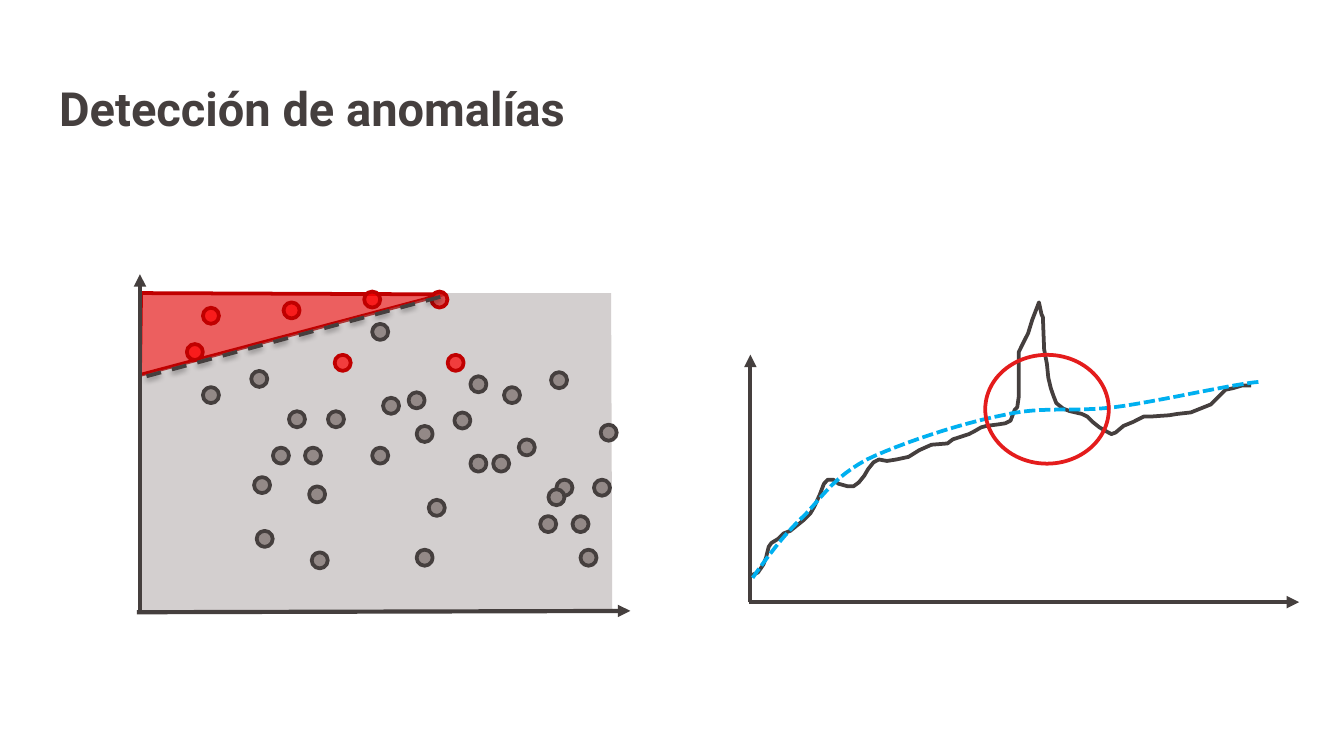
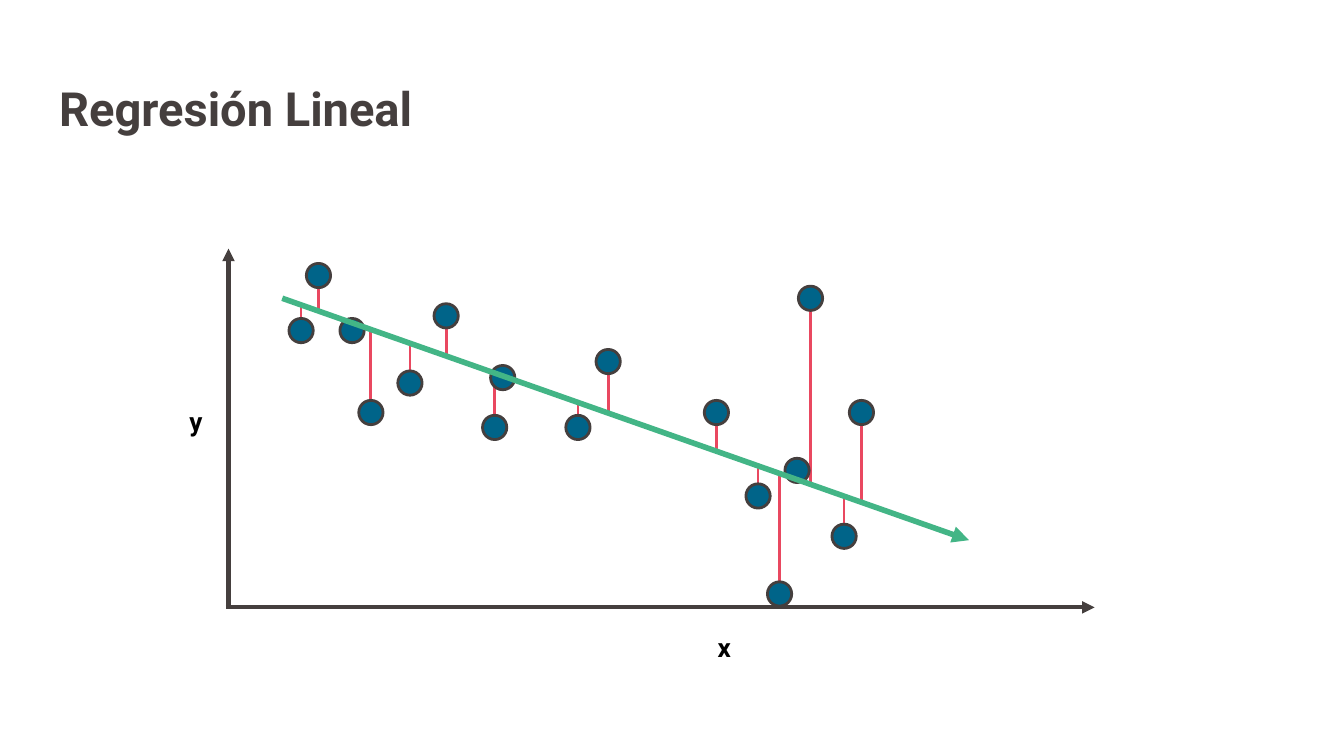
from pptx import Presentation
from pptx import util as u
from pptx.dml.color import RGBColor
from pptx.enum import dml, shapes, text
from pptx.oxml import ns, xmlchemy

Pt = u.Pt
INK = RGBColor(0x45, 0x3F, 0x3E)
GREY = RGBColor(0x93, 0x89, 0x87)
RED = RGBColor(0xE4, 0x1C, 0x1C)
BRIGHT_RED = RGBColor(0xFF, 0x00, 0x00)
DARK_RED = RGBColor(0xC0, 0x00, 0x00)
PINK = RGBColor(0xE9, 0x48, 0x60)
TEAL = RGBColor(0x00, 0x64, 0x89)
GREEN = RGBColor(0x43, 0xB5, 0x86)
CYAN = RGBColor(0x00, 0xB0, 0xF0)
BLACK = RGBColor(0x00, 0x00, 0x00)
WHITE = RGBColor(0xFF, 0xFF, 0xFF)
FONT = "Roboto"

SCATTER_BOX = (75, 157, 253, 171)
SERIES_BOX = (402, 162, 294, 160.6)
REGRESSION_BOX = (122.4, 133.2, 464, 192.2)

ANOMALIES = [(33.7, 7.9), (25.1, 27.3), (104.3, 33.1), (76.9, 5), (120.1, -0.8), (164.8, 33.1)]
EDGE_ANOMALY = (156.1, -0.8)
NORMAL_POINTS = [
    (100.7, 63.3), (79.8, 63.3), (71.2, 82.8), (59.6, 41.7), (33.7, 50.4),
    (195, 50.4), (124.4, 16.5), (124.4, 82.8), (88.4, 82.8), (130.2, 56.1),
    (177, 44.6), (168.4, 64), (243.2, 100), (223.1, 100), (214.4, 119.5),
    (246.8, 70.5), (202.9, 78.4), (177, 87.1), (220.2, 42.4), (218.8, 105.1),
    (92, 138.9), (148.2, 71.2), (143.9, 53.2), (148.2, 137.5), (236, 137.5),
    (231.7, 119.5), (154.7, 110.8), (189.2, 87.1), (90.6, 103.6), (61.1, 98.6),
    (62.5, 127.4),
]
SIGNAL = [
    (0.5, 146.2), (4.1, 144.7), (7, 140.4), (8.4, 136.8), (9.8, 131), (11.3, 128.9),
    (14.9, 126.7), (17.8, 123.8), (21.4, 122.4), (25, 119.5), (28.6, 116.6), (32.2, 113),
    (34.3, 109.4), (37.2, 103), (39.4, 97.2), (41.5, 95), (44.4, 95), (47.3, 97.2),
    (52.3, 98.6), (55.2, 98.6), (58.1, 96.5), (61, 92.9), (63.1, 89.3), (66, 85.7),
    (68.9, 84.2), (73.2, 85), (78.2, 84.2), (84.7, 82.8), (90.5, 79.2), (97, 76.3),
    (105.6, 75.6), (108.5, 73.4), (112.8, 72), (117.1, 70.6), (120, 69.1), (123.6, 67),
    (126.5, 66.2), (132.2, 65.5), (136.6, 64.8), (139.4, 63.4), (141.6, 57.6), (143, 56.2),
    (143.8, 50.4), (143.8, 26.6), (145.9, 22.3), (148.8, 16.6), (151, 9.4), (153.8, 2.2),
    (154.6, 0), (156, 6.5), (156.7, 7.9), (157.4, 25.2), (158.9, 33.1), (159.6, 40.3),
    (161, 46.1), (162.5, 50.4), (163.9, 54), (167.5, 56.9), (171.1, 58.3), (177.6, 59.8),
    (180.5, 61.2), (183.4, 64.1), (187, 67), (190.6, 69.1), (193.4, 70.6), (195.6, 69.8),
    (199.9, 66.2), (205, 64.1), (210.7, 61.2), (214.3, 61.2), (224.4, 60.5), (228.7, 59.8),
    (235.9, 59), (246.7, 54.7), (251, 50.4), (254.6, 46.8), (258.2, 46.1), (263.3, 44.6),
    (268.3, 44.6),
]
TREND = [
    (1.2, 147.6), (9.8, 135.4), (18.5, 123.8), (29.3, 113.8), (39.4, 103), (45.1, 93.6),
    (62.4, 84.2), (80.4, 75.6), (112.8, 64.8), (135.1, 60.5), (156.7, 55.4), (171.8, 59),
    (194.9, 56.2), (217.9, 53.3), (257.5, 43.9), (273.4, 42.5),
]
OBSERVATIONS = [
    (48.2, 14.4), (38.9, 43.9), (66.2, 43.9), (116.6, 36), (97.2, 72), (76.3, 87.8),
    (187.2, 95.8), (311.8, 26.6), (339.1, 87.8), (329.8, 154.1), (304.6, 118.8),
    (295.2, 185), (142.6, 95.8), (146.9, 69.1), (261.4, 87.8), (283.7, 132.5), (203.4, 60.5),
]


def sub(parent, tag, **attrs):
    el = parent.makeelement(ns.qn(tag), attrs)
    parent.append(el)
    return el


def set_fill(sp, color, opacity=100):
    sp.fill.solid()
    sp.fill.fore_color.rgb = color
    if opacity < 100:
        clr = sp._element.spPr.find(ns.qn("a:solidFill"))[0]
        sub(clr, "a:alpha", val=str(opacity * 1000))


def set_line(sp, color, width, dash=None):
    sp.line.color.rgb = color
    sp.line.width = Pt(width)
    if dash:
        sp.line.dash_style = dash


def add_line(s, box, start, end, color, width, arrow=False, dash=None, shadow=False):
    x, y = box[:2]
    ln = s.shapes.add_connector(
        shapes.MSO_CONNECTOR.STRAIGHT,
        Pt(x + start[0]), Pt(y + start[1]), Pt(x + end[0]), Pt(y + end[1]))
    set_line(ln, color, width, dash)
    if arrow:
        sub(ln.line._get_or_add_ln(), "a:tailEnd", type="triangle")
    effects = sub(ln._element.spPr, "a:effectLst")
    if shadow:
        outer = sub(effects, "a:outerShdw", blurRad=str(Pt(3.1)), dist=str(Pt(1.6)),
                    dir="5400000", algn="t", rotWithShape="0")
        sub(sub(outer, "a:srgbClr", val=str(BLACK)), "a:alpha", val="38000")


def add_ellipse(s, box, left, top, w, h, line, width, fill=None, opacity=100):
    sp = s.shapes.add_shape(shapes.MSO_SHAPE.OVAL, Pt(box[0] + left), Pt(box[1] + top), Pt(w), Pt(h))
    sp.shadow.inherit = False
    if fill is None:
        sp.fill.background()
    else:
        set_fill(sp, fill, opacity)
    set_line(sp, line, width)


def add_outline(s, box, points, close=False):
    pts = [(Pt(box[0] + x), Pt(box[1] + y)) for x, y in points]
    fb = s.shapes.build_freeform(*pts[0], scale=1.0)
    fb.add_line_segments(pts[1:], close=close)
    sp = fb.convert_to_shape()
    sp.shadow.inherit = False
    sp.fill.background()
    return sp


def add_axes(s, box, top=0, overhang=1.4):
    w, h = box[2:]
    add_line(s, box, (0, h), (0, top), INK, 2.25, arrow=True)
    add_line(s, box, (-overhang, h), (w, h), INK, 2.25, arrow=True)


def add_run(p, content, size, color):
    r = p.add_run()
    r.text = content
    r.font.name = FONT
    r.font.size = Pt(size)
    r.font.bold = True
    r.font.color.rgb = color


def add_label(s, box, left, top, content):
    tb = s.shapes.add_textbox(Pt(box[0] + left), Pt(box[1] + top), Pt(20.2), Pt(24.5))
    tf = tb.text_frame
    tf.word_wrap = True
    tf.auto_size = text.MSO_AUTO_SIZE.SHAPE_TO_FIT_TEXT
    add_run(tf.paragraphs[0], content, 14, BLACK)


def sample_bezier(points, steps=12):
    curve = [points[0]]
    for i in range(0, len(points) - 1, 3):
        a, b, c, d = points[i:i + 4]
        for k in range(1, steps + 1):
            t = k / steps
            v = 1 - t
            curve.append(tuple(
                v ** 3 * a[n] + 3 * v * v * t * b[n] + 3 * v * t * t * c[n] + t ** 3 * d[n]
                for n in (0, 1)))
    return curve


def titled_slide(prs, title):
    s = prs.slides.add_slide(prs.slide_layouts[5])
    s.background.fill.solid()
    s.background.fill.fore_color.rgb = WHITE
    sp = s.shapes.title
    sp.left, sp.top, sp.width, sp.height = Pt(24.5), Pt(35.3), Pt(671), Pt(45.4)
    tf = sp.text_frame
    tf.margin_left = tf.margin_right = tf.margin_top = tf.margin_bottom = Pt(7.2)
    tf.word_wrap = True
    tf.auto_size = text.MSO_AUTO_SIZE.NONE
    tf.vertical_anchor = text.MSO_ANCHOR.TOP
    p = tf.paragraphs[0]
    p.alignment = text.PP_ALIGN.LEFT
    add_run(p, title, 25.2, INK)
    return s


def scatter_region(s, box):
    w, h = box[2:]
    dot = 8.6
    wedge = add_outline(s, box, [(0.6, 0), (0, 43.9), (162.6, 0.7)], close=True)
    set_fill(wedge, RED, 70)
    set_line(wedge, DARK_RED, 2)
    normal_area = add_outline(
        s, box, [(-0.8, 44.6), (0, h), (w, h - 0.6), (w - 0.6, 0), (164.8, 0)], close=True)
    set_fill(normal_area, GREY, 40)
    normal_area.line.fill.background()
    for x, y in ANOMALIES:
        add_ellipse(s, box, x, y, dot, dot, DARK_RED, 2, BRIGHT_RED, 70)
    add_ellipse(s, box, *EDGE_ANOMALY, dot, dot, DARK_RED, 2, RED, 70)
    for x, y in NORMAL_POINTS:
        add_ellipse(s, box, x, y, dot, dot, INK, 2, GREY)
    add_line(s, box, (0, h), (0, -10.1), INK, 2.25, arrow=True)
    add_line(s, box, (-1.6, h), (w + 9.7, h - 0.7), INK, 2.25, arrow=True)
    add_line(s, box, (3.5, 44.6), (163.3, 1.4), INK, 2, dash=dml.MSO_LINE.DASH, shadow=True)


def series_region(s, box):
    add_axes(s, box, top=28, overhang=1)
    set_line(add_outline(s, box, SIGNAL), INK, 2)
    set_line(add_outline(s, box, sample_bezier(TREND)), CYAN, 2, dml.MSO_LINE.SQUARE_DOT)
    add_ellipse(s, box, 125.8, 28.1, 66.2, 58.3, RED, 2)


def regression_region(s, box):
    radius = 6.5
    start, end = (28.8, 26.6), (396.7, 156.2)
    slope = (end[1] - start[1]) / (end[0] - start[0])
    for x, y in OBSERVATIONS:
        fitted = start[1] + slope * (x - start[0])
        if abs(fitted - y) > radius:
            edge = y + radius if fitted > y else y - radius
            add_line(s, box, (x, min(edge, fitted)), (x, max(edge, fitted)), PINK, 1.5)
    add_axes(s, box)
    for x, y in OBSERVATIONS:
        add_ellipse(s, box, x - radius, y - radius, 2 * radius, 2 * radius, INK, 1.5, TEAL)
    add_line(s, box, start, end, GREEN, 3, arrow=True)
    add_label(s, box, 254.9, 201.6, "x")
    add_label(s, box, -28.1, 80.6, "y")


def main():
    prs = Presentation()
    prs.slide_width, prs.slide_height = Pt(720), Pt(405)
    s = titled_slide(prs, "Detección de anomalías")
    scatter_region(s, SCATTER_BOX)
    series_region(s, SERIES_BOX)
    s = titled_slide(prs, "Regresión Lineal")
    regression_region(s, REGRESSION_BOX)
    prs.save("out.pptx")


if __name__ == "__main__":
    main()
